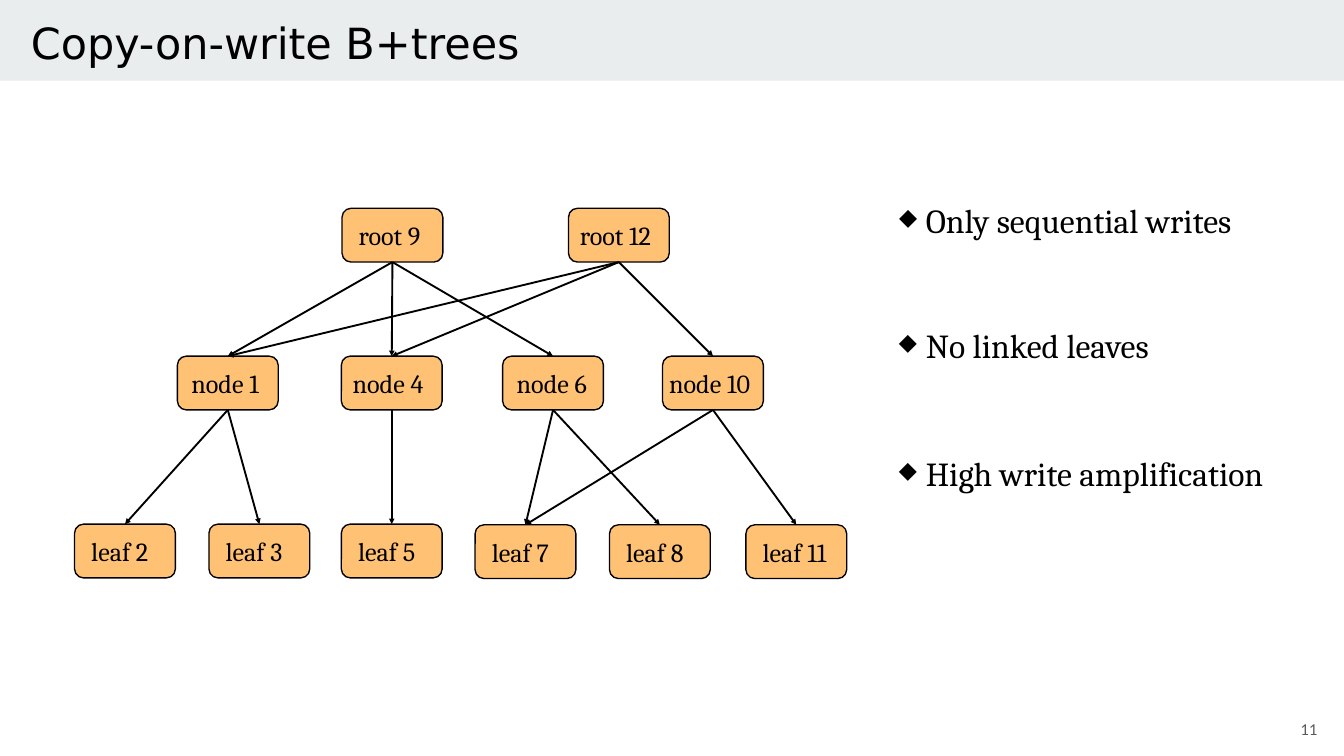
import dataclasses
import typing

import pptx
import pptx.dml.color
import pptx.enum.shapes
import pptx.enum.text
import pptx.oxml
import pptx.oxml.ns
import pptx.util

Inches = pptx.util.Inches
Pt = pptx.util.Pt
Shape = pptx.enum.shapes.MSO_SHAPE
Align = pptx.enum.text.PP_ALIGN
Anchor = pptx.enum.text.MSO_ANCHOR
Fit = pptx.enum.text.MSO_AUTO_SIZE


@dataclasses.dataclass(frozen=True)
class Font:
    name: str
    size: float
    color: str = "000000"


@dataclasses.dataclass(frozen=True)
class Theme:
    title: Font = Font("DejaVu Sans", 46)
    label: Font = Font("Cambria", 28)
    point: Font = Font("Cambria", 36)
    page: Font = Font("Lato", 16, "595959")
    band: str = "E9EDEE"
    fill: str = "FFC275"
    line: str = "000000"
    edge: float = 1.45


@dataclasses.dataclass(frozen=True)
class Node:
    kind: str
    num: int
    left: float
    top: float
    inset: float = 0.15
    width: float = 1.2
    kids: tuple[int, ...] = ()


@dataclasses.dataclass(frozen=True)
class Point:
    text: str
    top: float
    width: float


THEME = Theme()
WIDE, HIGH = 1.5, 0.8
ROOT, MID, LEAF = 3.1, 5.3, 7.8

NODES = [
    Node("root", 9, 5.09, ROOT, kids=(1, 4, 6)),
    Node("root", 12, 8.46, ROOT, 0.07, 1.45, (1, 4, 10)),
    Node("node", 1, 2.64, MID, 0.11, 1.35, (2, 3)),
    Node("node", 4, 5.08, MID, 0.07, 1.46, (5,)),
    Node("node", 6, 7.48, MID, 0.11, 1.35, (7, 8)),
    Node("node", 10, 9.86, MID, 0, 1.63, (7, 11)),
    Node("leaf", 2, 1.11, LEAF),
    Node("leaf", 3, 3.11, LEAF),
    Node("leaf", 5, 5.08, LEAF),
    Node("leaf", 7, 7.07, LEAF + 0.01),
    Node("leaf", 8, 9.07, LEAF + 0.01),
    Node("leaf", 11, 11.1, LEAF + 0.01, width=1.35),
]

POINTS = [
    Point("Only sequential writes", 2.93, 5.89),
    Point("No linked leaves", 4.79, 4.06),
    Point("High write amplification", 6.69, 5.77),
]


def rgb(color: str) -> pptx.dml.color.RGBColor:
    return pptx.dml.color.RGBColor.from_string(color)


def add_xml(parent: typing.Any, tag: str, **attrs: str) -> typing.Any:
    node = pptx.oxml.parse_xml(f"<a:{tag} {pptx.oxml.ns.nsdecls('a')}/>")
    for key, value in attrs.items():
        node.set(key, value)
    parent.append(node)
    return node


def write(frame: typing.Any, text: str, font: Font, align: Align = Align.LEFT) -> typing.Any:
    frame.word_wrap = True
    para = frame.paragraphs[0]
    para.alignment = align
    run = para.add_run()
    run.text = text
    run.font.name = font.name
    run.font.size = Pt(font.size)
    run.font.color.rgb = rgb(font.color)
    return para


def add_text(slide: typing.Any, at: tuple[float, ...], text: str, font: Font) -> typing.Any:
    frame = slide.shapes.add_textbox(*map(Inches, at)).text_frame
    para = write(frame, text, font)
    frame.auto_size = Fit.SHAPE_TO_FIT_TEXT
    return para


def add_title(slide: typing.Any, text: str) -> None:
    title = slide.shapes.title
    title.left, title.top, title.width, title.height = map(Inches, (0.46, 0.05, 16.82, 1.17))
    frame = title.text_frame
    frame.margin_left = frame.margin_right = frame.margin_top = frame.margin_bottom = 0
    frame.vertical_anchor = Anchor.MIDDLE
    write(frame, text, THEME.title)
    frame.auto_size = Fit.SHAPE_TO_FIT_TEXT
    band = slide.shapes.add_shape(Shape.RECTANGLE, 0, 0, Inches(20), Inches(1.2))
    band.shadow.inherit = False
    band.fill.solid()
    band.fill.fore_color.rgb = rgb(THEME.band)
    band.line.fill.background()
    title.element.addprevious(band.element)


def add_node(slide: typing.Any, node: Node) -> typing.Any:
    spot = map(Inches, (node.left, node.top, WIDE, HIGH))
    box = slide.shapes.add_shape(Shape.ROUNDED_RECTANGLE, *spot)
    box.shadow.inherit = False
    box.fill.solid()
    box.fill.fore_color.rgb = rgb(THEME.fill)
    box.line.color.rgb = rgb(THEME.line)
    box.line.width = Pt(THEME.edge)
    at = (node.left + node.inset, node.top + 0.12, node.width, 0.56)
    add_text(slide, at, f"{node.kind} {node.num}", THEME.label)
    return box


def add_link(slide: typing.Any, start: typing.Any, end: typing.Any) -> None:
    kind = pptx.enum.shapes.MSO_CONNECTOR.STRAIGHT
    link = slide.shapes.add_connector(kind, 0, 0, 0, 0)
    link.begin_connect(start, 2)
    link.end_connect(end, 0)
    link.line.color.rgb = rgb(THEME.line)
    link.line.width = Pt(0)
    add_xml(link.line._get_or_add_ln(), "tailEnd", type="triangle")
    add_xml(link.element.spPr, "effectLst")


def add_point(slide: typing.Any, point: Point) -> None:
    para = add_text(slide, (13.28, point.top, point.width, 0.69), point.text, THEME.point)
    props = para._p.get_or_add_pPr()
    props.set("marL", str(Inches(0.4)))
    props.set("indent", str(Inches(-0.4)))
    add_xml(add_xml(props, "buClr"), "srgbClr", val=THEME.point.color)
    add_xml(props, "buSzPct", val="70000")
    add_xml(props, "buChar", char="◆")


def add_page(slide: typing.Any, num: str) -> None:
    frame = slide.shapes.add_textbox(*map(Inches, (18.51, 10.43, 1.2, 0.86))).text_frame
    frame.margin_top = frame.margin_bottom = Inches(0.1)
    frame.vertical_anchor = Anchor.MIDDLE
    write(frame, num, THEME.page, Align.RIGHT)


def main() -> None:
    deck = pptx.Presentation()
    deck.slide_width, deck.slide_height = Inches(20), Inches(11.25)
    slide = deck.slides.add_slide(deck.slide_layouts.get_by_name("Title Only"))
    add_title(slide, "Copy-on-write B+trees")
    boxes = {node.num: add_node(slide, node) for node in NODES}
    for node in NODES:
        for kid in node.kids:
            add_link(slide, boxes[node.num], boxes[kid])
    for point in POINTS:
        add_point(slide, point)
    add_page(slide, "11")
    deck.save("out.pptx")


if __name__ == "__main__":
    main()
